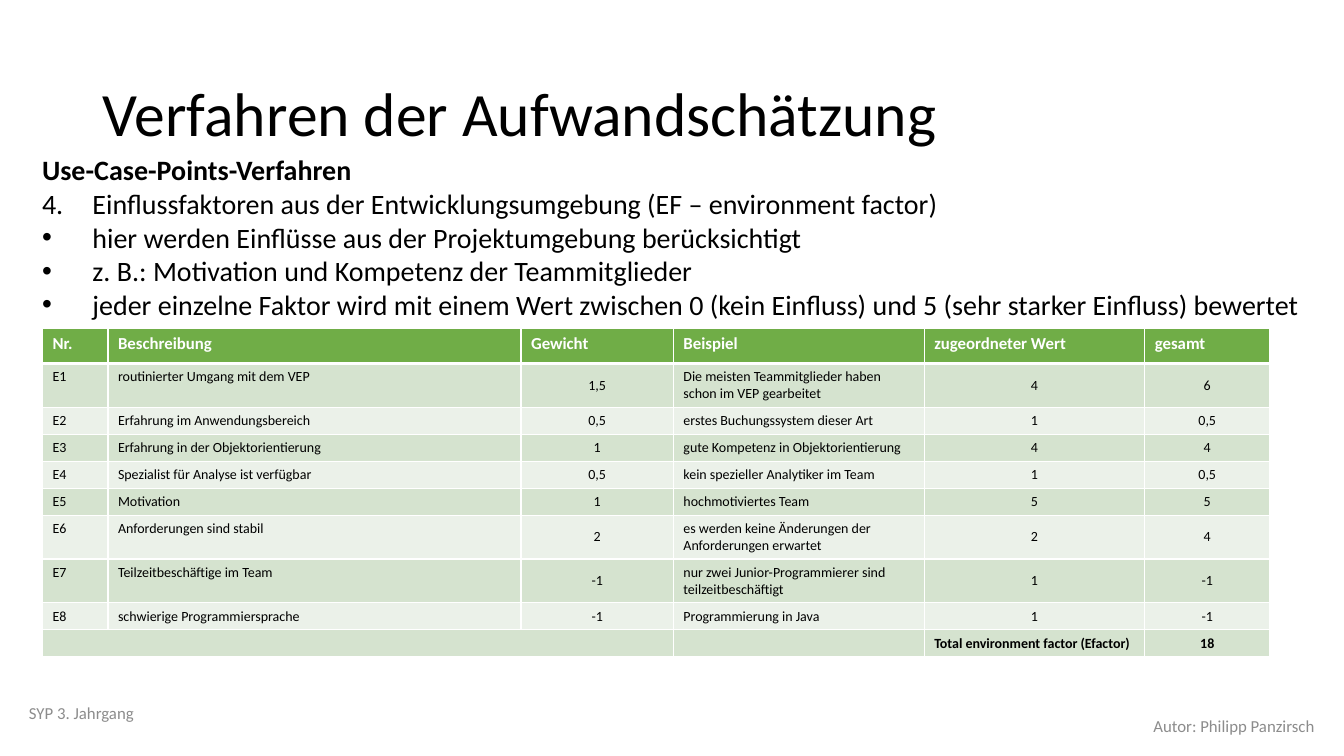
from lxml import etree
from pptx import Presentation
from pptx import util as u
from pptx.dml.color import RGBColor
from pptx.enum import text
from pptx.oxml import ns

FONT = "Calibri"
BLACK, WHITE, GREY = "000000", "FFFFFF", "8C8C8C"
GREEN, BAND_DARK, BAND_LIGHT = "70AD47", "D5E3CF", "EBF1E9"
LEFT, CENTER, RIGHT = text.PP_ALIGN.LEFT, text.PP_ALIGN.CENTER, text.PP_ALIGN.RIGHT
TOP, MIDDLE = text.MSO_ANCHOR.TOP, text.MSO_ANCHOR.MIDDLE

POINTS = [
    "Einflussfaktoren aus der Entwicklungsumgebung (EF – environment factor)",
    "hier werden Einflüsse aus der Projektumgebung berücksichtigt",
    "z. B.: Motivation und Kompetenz der Teammitglieder",
    "jeder einzelne Faktor wird mit einem Wert zwischen 0 (kein Einfluss) und 5 (sehr starker Einfluss) bewertet",
]
COLUMN_WIDTHS = [1.65, 10.41, 3.84, 6.32, 5.56, 3.15]
CENTERED_COLUMNS = {2, 4, 5}
FACTORS = [
    ["Nr.", "Beschreibung", "Gewicht", "Beispiel", "zugeordneter Wert", "gesamt"],
    ["E1", "routinierter Umgang mit dem VEP", "1,5",
     "Die meisten Teammitglieder haben schon im VEP gearbeitet", "4", "6"],
    ["E2", "Erfahrung im Anwendungsbereich", "0,5", "erstes Buchungssystem dieser Art", "1", "0,5"],
    ["E3", "Erfahrung in der Objektorientierung", "1", "gute Kompetenz in Objektorientierung", "4", "4"],
    ["E4", "Spezialist für Analyse ist verfügbar", "0,5", "kein spezieller Analytiker im Team", "1", "0,5"],
    ["E5", "Motivation", "1", "hochmotiviertes Team", "5", "5"],
    ["E6", "Anforderungen sind stabil", "2", "es werden keine Änderungen der Anforderungen erwartet", "2", "4"],
    ["E7", "Teilzeitbeschäftige im Team", "-1", "nur zwei Junior-Programmierer sind teilzeitbeschäftigt", "1", "-1"],
    ["E8", "schwierige Programmiersprache", "-1", "Programmierung in Java", "1", "-1"],
    ["", "", "", "", "Total environment factor (Efactor)", "18"],
]


def color(value):
    return RGBColor.from_string(value)


def add_xml(parent, tag, **attributes):
    return etree.SubElement(parent, ns.qn(tag), attributes)


def format_paragraph(paragraph, size, value, bold=False, align=LEFT):
    paragraph.alignment = align
    for run in paragraph.runs:
        run.font.name = FONT
        run.font.size = u.Pt(size)
        run.font.bold = bold
        run.font.color.rgb = color(value)
    if not paragraph.runs:
        add_xml(paragraph._p, "a:endParaRPr", sz=str(size * 100))


def place_title(slide, box):
    title = slide.shapes.title
    title.left, title.top, title.width, title.height = map(u.Cm, box)
    frame = title.text_frame
    frame.text = "Verfahren der Aufwandschätzung"
    frame.vertical_anchor = MIDDLE
    frame.paragraphs[0].line_spacing = 0.9
    format_paragraph(frame.paragraphs[0], 44, BLACK)


def add_text_frame(slide, box, anchor):
    frame = slide.shapes.add_textbox(*map(u.Cm, box)).text_frame
    frame.word_wrap = True
    frame.vertical_anchor = anchor
    return frame


def add_footer(slide, box, wording, align):
    frame = add_text_frame(slide, box, MIDDLE)
    frame.text = wording
    format_paragraph(frame.paragraphs[0], 12, GREY, align=align)


def add_method_text(slide, box):
    frame = add_text_frame(slide, box, TOP)
    frame.text = "Use-Case-Points-Verfahren"
    format_paragraph(frame.paragraphs[0], 20, BLACK, bold=True)
    for index, point in enumerate(POINTS):
        paragraph = frame.add_paragraph()
        paragraph.text = point
        format_paragraph(paragraph, 20, BLACK)
        properties = paragraph._p.get_or_add_pPr()
        properties.set("marL", str(u.Cm(1.27)))
        properties.set("indent", str(-u.Cm(1.27)))
        if index == 0:
            add_xml(properties, "a:buAutoNum", type="arabicPeriod", startAt="4")
        else:
            add_xml(properties, "a:buFont", typeface="Arial")
            add_xml(properties, "a:buChar", char="•")


def add_borders(cell, top, bottom):
    properties = cell._tc.get_or_add_tcPr()
    for side, width in (("L", 1), ("R", 1), ("T", top), ("B", bottom)):
        line = add_xml(properties, "a:ln" + side, w=str(u.Pt(width)))
        add_xml(add_xml(line, "a:solidFill"), "a:srgbClr", val=WHITE)


def add_factor_table(slide, box):
    table = slide.shapes.add_table(len(FACTORS), len(COLUMN_WIDTHS), *map(u.Cm, box)).table
    for column, width in zip(table.columns, COLUMN_WIDTHS):
        column.width = u.Cm(width)
    last = len(FACTORS) - 1
    for row, values in enumerate(FACTORS):
        header, total = row == 0, row == last
        table.rows[row].height = u.Cm(0.88 if header else 0.68)
        fill = GREEN if header else BAND_DARK if row % 2 else BAND_LIGHT
        for column, value in enumerate(values):
            cell = table.cell(row, column)
            add_borders(cell, 3 if row == 1 else 1, 3 if header else 1)
            cell.fill.solid()
            cell.fill.fore_color.rgb = color(fill)
            cell.text_frame.text = value
            centered = column in CENTERED_COLUMNS and not header and not (total and column == 4)
            cell.vertical_anchor = MIDDLE if centered and not total else TOP
            format_paragraph(cell.text_frame.paragraphs[0], 12 if header else 10,
                             WHITE if header else BLACK, header or total,
                             CENTER if centered else LEFT)
    table.cell(last, 0).merge(table.cell(last, 2))


def build_slide(presentation):
    slide = presentation.slides.add_slide(presentation.slide_layouts[5])
    place_title(slide, (2.34, 1.09, 29.21, 3.68))
    add_footer(slide, (0.48, 17.45, 11.43, 1.02), "SYP 3. Jahrgang", LEFT)
    add_footer(slide, (21.95, 17.78, 11.43, 1.02), "Autor: Philipp Panzirsch", RIGHT)
    add_method_text(slide, (0.81, 3.73, 32.23, 4.52))
    add_factor_table(slide, (1.07, 8.28, sum(COLUMN_WIDTHS), 7))


presentation = Presentation()
presentation.slide_width, presentation.slide_height = u.Cm(33.87), u.Cm(19.05)
build_slide(presentation)
presentation.save("out.pptx")
